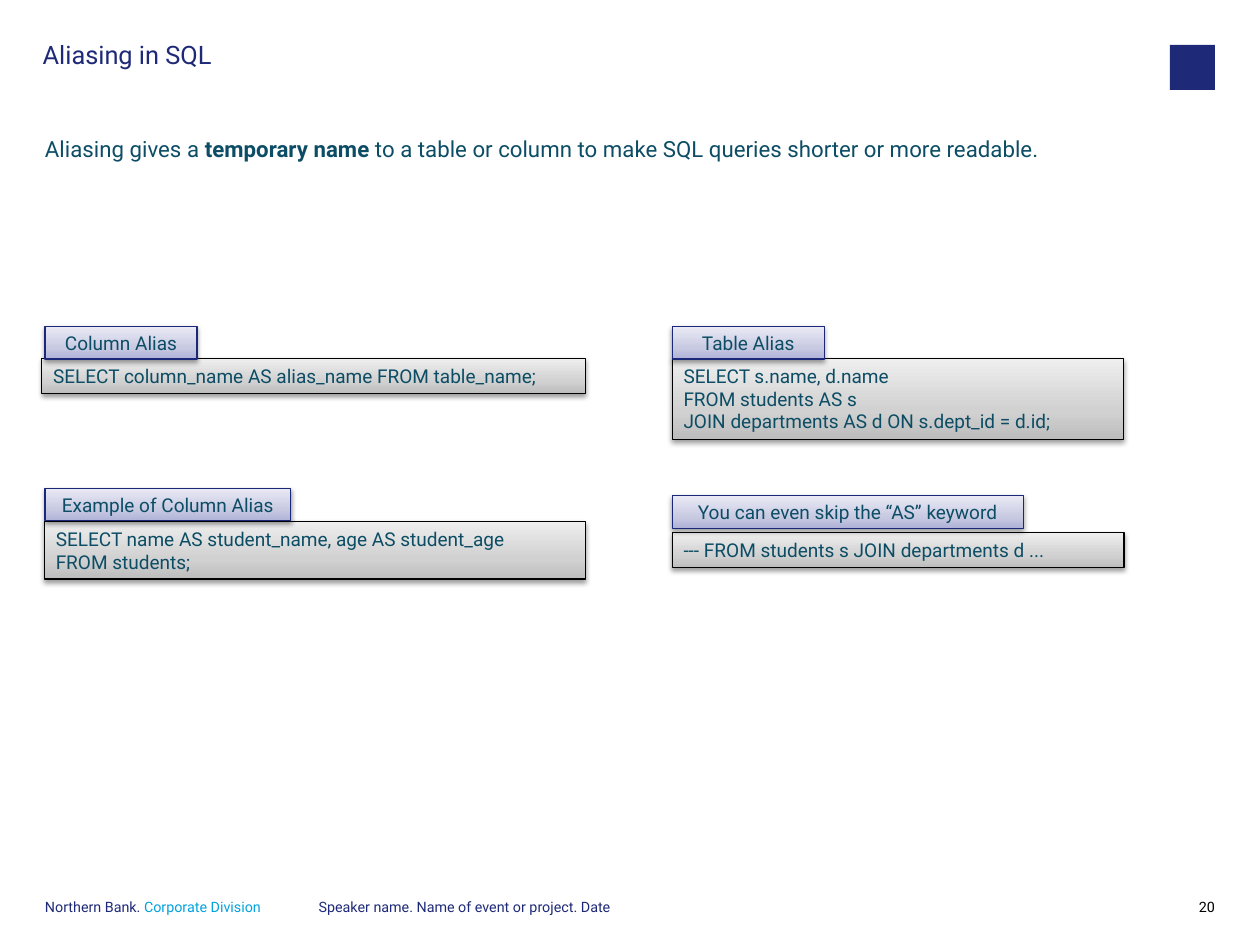
from lxml.etree import SubElement
from pptx import Presentation
from pptx.dml.color import RGBColor
from pptx.enum.shapes import MSO_SHAPE as Preset
from pptx.enum.text import MSO_ANCHOR as Anchor, PP_ALIGN as Align
from pptx.oxml.ns import qn
from pptx.util import Cm, Pt

COLORS = {
    "navy": "1E2A78",
    "border": "1B2778",
    "sky": "00A3E0",
    "teal": "0C4D65",
    "black": "000000",
}
GRADIENTS = {
    "code": ("BDBDBD", "D1D1D1", "EEEEEE"),
    "label": ("B0B2D8", "C8CAE2", "EAEAF5"),
}
STOPS = (0, 35, 100)


class SlideBuilder:
    font = "Roboto"
    label_height = 0.72

    def __init__(self, slide):
        self.slide = slide

    def color(self, name):
        return RGBColor.from_string(COLORS[name])

    def format_run(self, run, size, color, bold=False):
        run.font.name = self.font
        run.font.size = Pt(size)
        run.font.bold = bold
        run.font.color.rgb = self.color(color)

    def text(self, left, top, width, height, parts, size, align=Align.LEFT, spacing=None):
        shape = self.slide.shapes.add_textbox(Cm(left), Cm(top), Cm(width), Cm(height))
        frame = shape.text_frame
        frame.word_wrap = True
        frame.margin_left = frame.margin_right = frame.margin_top = frame.margin_bottom = 0
        paragraph = frame.paragraphs[0]
        paragraph.alignment = align
        paragraph.line_spacing = spacing
        for words, color, bold in parts:
            run = paragraph.add_run()
            run.text = words
            self.format_run(run, size, color, bold)

    def footer(self, left, width, parts, align=Align.LEFT):
        self.text(left, 20.02, width, 0.5, parts, 9, align, Pt(9))

    def emblem(self, left, top, side):
        shape = self.slide.shapes.add_shape(Preset.RECTANGLE, Cm(left), Cm(top), Cm(side), Cm(side))
        shape.shadow.inherit = False
        shape.fill.solid()
        shape.fill.fore_color.rgb = self.color("navy")
        shape.line.fill.background()

    def panel(self, left, top, width, height, text, gradient, border, align):
        shape = self.slide.shapes.add_shape(
            Preset.RECTANGLE, Cm(left), Cm(top), Cm(width), Cm(height))
        shape.line.color.rgb = self.color(border)
        shape.line.width = Pt(0.75)
        self.gradient(shape, GRADIENTS[gradient])
        self.shadow(shape)
        frame = shape.text_frame
        frame.word_wrap = True
        frame.text = text
        for paragraph in frame.paragraphs:
            paragraph.alignment = align
            for run in paragraph.runs:
                self.format_run(run, 12, "teal")
        return frame

    def gradient(self, shape, shades):
        shape.fill.gradient()
        shape.fill.gradient_angle = 90
        stop_list = shape.element.spPr.find(qn("a:gradFill")).find(qn("a:gsLst"))
        for stop in list(stop_list):
            stop_list.remove(stop)
        for position, shade in zip(STOPS, shades):
            stop = SubElement(stop_list, qn("a:gs"), pos=str(position * 1000))
            SubElement(stop, qn("a:srgbClr"), val=shade)

    def shadow(self, shape):
        shape.shadow.inherit = False
        effects = shape.element.spPr.find(qn("a:effectLst"))
        outer = SubElement(effects, qn("a:outerShdw"), blurRad="40000", dist="20000",
                           dir="5400000", rotWithShape="0")
        shade = SubElement(outer, qn("a:srgbClr"), val=COLORS["black"])
        SubElement(shade, qn("a:alpha"), val="38000")

    def code(self, left, top, width, height, lines):
        frame = self.panel(left, top, width, height, "\n".join(lines), "code", "black", Align.LEFT)
        frame.vertical_anchor = Anchor.TOP

    def label(self, left, top, width, text):
        frame = self.panel(left, top, width, self.label_height, text,
                           "label", "border", Align.CENTER)
        frame.vertical_anchor = Anchor.MIDDLE
        frame.margin_left = frame.margin_right = Cm(0.28)
        frame.margin_top = frame.margin_bottom = Cm(0.15)


def main():
    presentation = Presentation()
    presentation.slide_width, presentation.slide_height = Cm(28), Cm(21)
    builder = SlideBuilder(presentation.slides.add_slide(presentation.slide_layouts[6]))

    builder.footer(1, 5.56, [("Northern Bank. ", "navy", False),
                             ("Corporate Division", "sky", False)])
    builder.emblem(26, 1, 1)
    builder.text(1, 3, 26, 0.76, [
        ("Aliasing gives a ", "teal", False),
        ("temporary name", "teal", True),
        (" to a table or column to make SQL queries shorter or more readable.", "teal", False),
    ], 14)
    builder.footer(26, 1, [("20", "black", False)], Align.RIGHT)
    builder.footer(7.08, 13.72, [("Speaker name. Name of event or project. Date", "navy", False)])
    builder.text(0.95, 0.95, 24.05, 1.55, [("Aliasing in SQL", "navy", False)], 16, spacing=0.9)

    code_boxes = [
        (0.93, 7.97, 12.08, 0.77, ["SELECT column_name AS alias_name FROM table_name;"]),
        (0.99, 11.59, 12.02, 1.28, ["SELECT name AS student_name, age AS student_age",
                                    "FROM students;"]),
        (14.94, 7.97, 10.02, 1.79, ["SELECT s.name, d.name",
                                    "FROM students AS s",
                                    "JOIN departments AS d ON s.dept_id = d.id;"]),
        (14.94, 11.84, 10.04, 0.77, ["--- FROM students s JOIN departments d ..."]),
    ]
    labels = [
        (1, 7.26, 3.38, "Column Alias"),
        (14.94, 7.26, 3.38, "Table Alias"),
        (1, 10.85, 5.46, "Example of Column Alias"),
        (14.94, 11.02, 7.8, "You can even skip the “AS” keyword"),
    ]
    for box in code_boxes:
        builder.code(*box)
    for label in labels:
        builder.label(*label)

    presentation.save("out.pptx")


if __name__ == "__main__":
    main()
